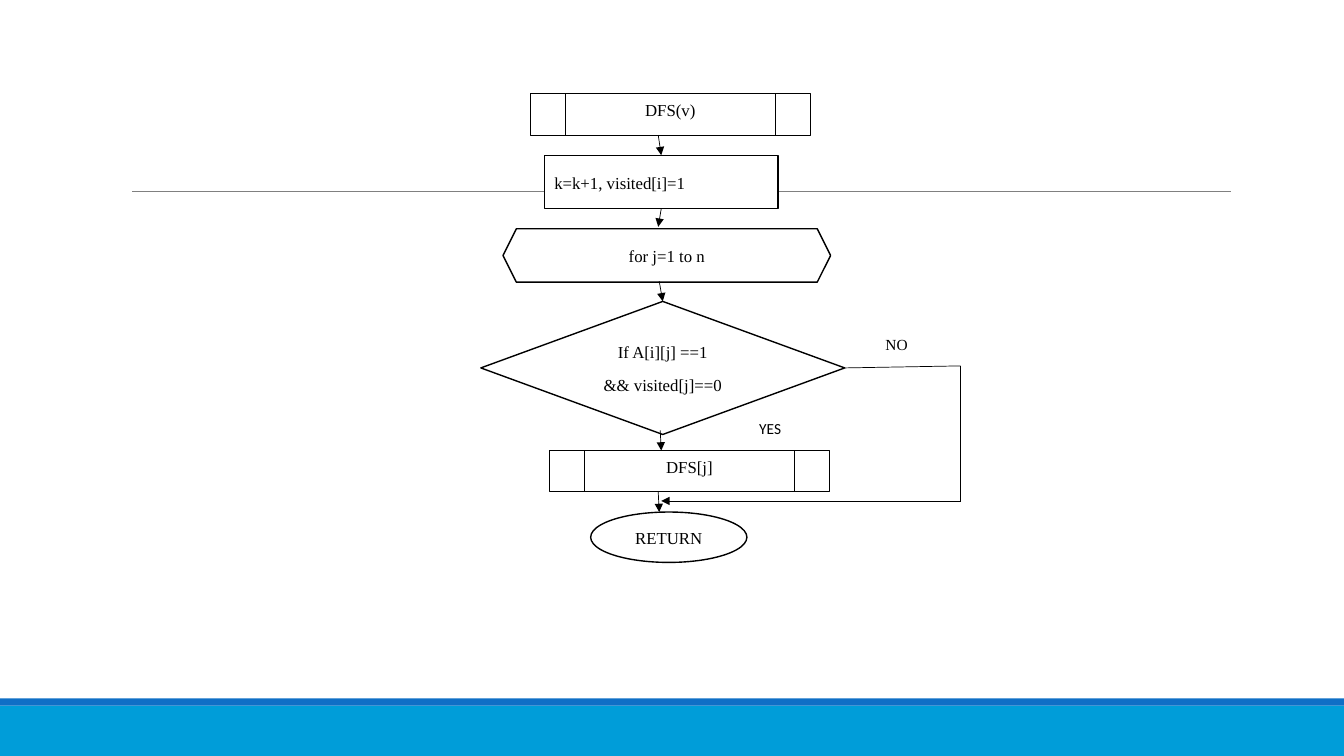
"""Build a slide with the flowchart of a recursive depth-first search."""
import pptx
import pptx.dml.color
import pptx.enum.shapes
import pptx.enum.text
import pptx.oxml
import pptx.oxml.ns
import pptx.util

SHAPE = pptx.enum.shapes.MSO_SHAPE
ALIGN = pptx.enum.text.PP_ALIGN
ANCHOR = pptx.enum.text.MSO_ANCHOR
SERIF = "Times New Roman"
COLUMNS, ROWS = 133.33, 75

presentation = pptx.Presentation()
presentation.slide_width = pptx.util.Inches(13.33)
presentation.slide_height = pptx.util.Inches(7.5)
column = presentation.slide_width / COLUMNS
row = presentation.slide_height / ROWS
slide = presentation.slides.add_slide(presentation.slide_layouts[6])


def paint(color_format, color):
    color_format.rgb = pptx.dml.color.RGBColor.from_string(color)


def add_line(start, end, color="000000", arrow=False):
    connector = slide.shapes.add_connector(
        pptx.enum.shapes.MSO_CONNECTOR.STRAIGHT,
        round(start[0] * column), round(start[1] * row),
        round(end[0] * column), round(end[1] * row))
    connector.line.width = pptx.util.Pt(0.5)
    paint(connector.line.color, color)
    if arrow:
        line_properties = connector.line._get_or_add_ln()
        tail = pptx.oxml.parse_xml(
            f'<a:tailEnd {pptx.oxml.ns.nsdecls("a")} type="triangle"/>')
        line_properties.append(tail)
    connector._element.spPr.append(
        pptx.oxml.parse_xml(f'<a:effectLst {pptx.oxml.ns.nsdecls("a")}/>'))
    return connector


for top, height, color in [(70, 5, "009DD9"), (69.3, 0.7, "0F6FC6")]:
    band = slide.shapes.add_shape(
        SHAPE.RECTANGLE, 0, round(top * row), presentation.slide_width, round(height * row))
    band.shadow.inherit = False
    band.fill.solid()
    paint(band.fill.fore_color, color)
    band.line.fill.background()
add_line((13.1, 19), (122.1, 19), "808080")

PROCESS = SHAPE.FLOWCHART_PREDEFINED_PROCESS
steps = [
    ("call", PROCESS, (52.6, 9.3, 27.8, 4.1), ["DFS(v)"], 12, SERIF, "000000"),
    ("count", SHAPE.RECTANGLE, (54, 15.4, 23.2, 5.3), ["k=k+1, visited[i]=1"], 12, SERIF, "000000"),
    ("loop", SHAPE.HEXAGON, (49.9, 22.7, 32.5, 5.3), ["for j=1 to n"], 12, SERIF, "000000"),
    ("test", SHAPE.DIAMOND, (47.7, 29.9, 36.1, 13.2),
     ["If A[i][j] ==1", "&& visited[j]==0"], 12, SERIF, "000000"),
    ("recursion", PROCESS, (54.5, 44.7, 27.8, 4.1), ["DFS[j]"], 12, SERIF, "000000"),
    ("return", SHAPE.OVAL, (58.6, 50.8, 15.5, 5), ["RETURN"], 12, SERIF, "000000"),
    ("no", SHAPE.RECTANGLE, (83.8, 32.6, 10.3, 3), ["NO"], 11, SERIF, "FFFFFF"),
    ("yes", SHAPE.RECTANGLE, (72.9, 40.8, 7, 3.2), ["YES"], 11, "Calibri", "FFFFFF"),
]
shapes = {}
for name, kind, (left, top, width, height), texts, size, font, outline in steps:
    shape = slide.shapes.add_shape(
        kind, round(left * column), round(top * row), round(width * column), round(height * row))
    shapes[name] = shape
    shape.shadow.inherit = False
    shape.fill.solid()
    paint(shape.fill.fore_color, "FFFFFF")
    paint(shape.line.color, outline)
    shape.line.width = pptx.util.Pt(0.75 if kind == PROCESS else 1)
    frame = shape.text_frame
    frame.word_wrap = True
    frame.vertical_anchor = ANCHOR.TOP if kind == PROCESS else ANCHOR.MIDDLE
    frame.text = "\n".join(texts)
    for paragraph in frame.paragraphs:
        paragraph.alignment = ALIGN.LEFT if name == "count" else ALIGN.CENTER
        paragraph.line_spacing = 1.07
        paragraph.space_after = pptx.util.Pt(8)
        paragraph.font.name = font
        paragraph.font.size = pptx.util.Pt(size)
        paint(paragraph.font.color, "000000")
shapes["loop"].adjustments[0] = 0.25

call_arrow = add_line((65.3, 13.4), (65.4, 15.4), arrow=True)
call_arrow.end_connect(shapes["count"], 0)
count_arrow = add_line((65.2, 20.6), (65.3, 22.5), arrow=True)
count_arrow.begin_connect(shapes["count"], 2)
loop_arrow = add_line((65.4, 27.9), (65.5, 29.9), arrow=True)
loop_arrow.end_connect(shapes["test"], 0)
add_line((65.5, 42.7), (65.6, 44.7), arrow=True)
add_line((65.3, 48.8), (65.4, 50.8), arrow=True)

no_branch = add_line((83.8, 36.4), (95.3, 36.3))
no_branch.begin_connect(shapes["test"], 3)
add_line((95.3, 36.3), (95.3, 49.7))
add_line((95.3, 49.7), (65.6, 49.7), arrow=True)

presentation.save("out.pptx")
